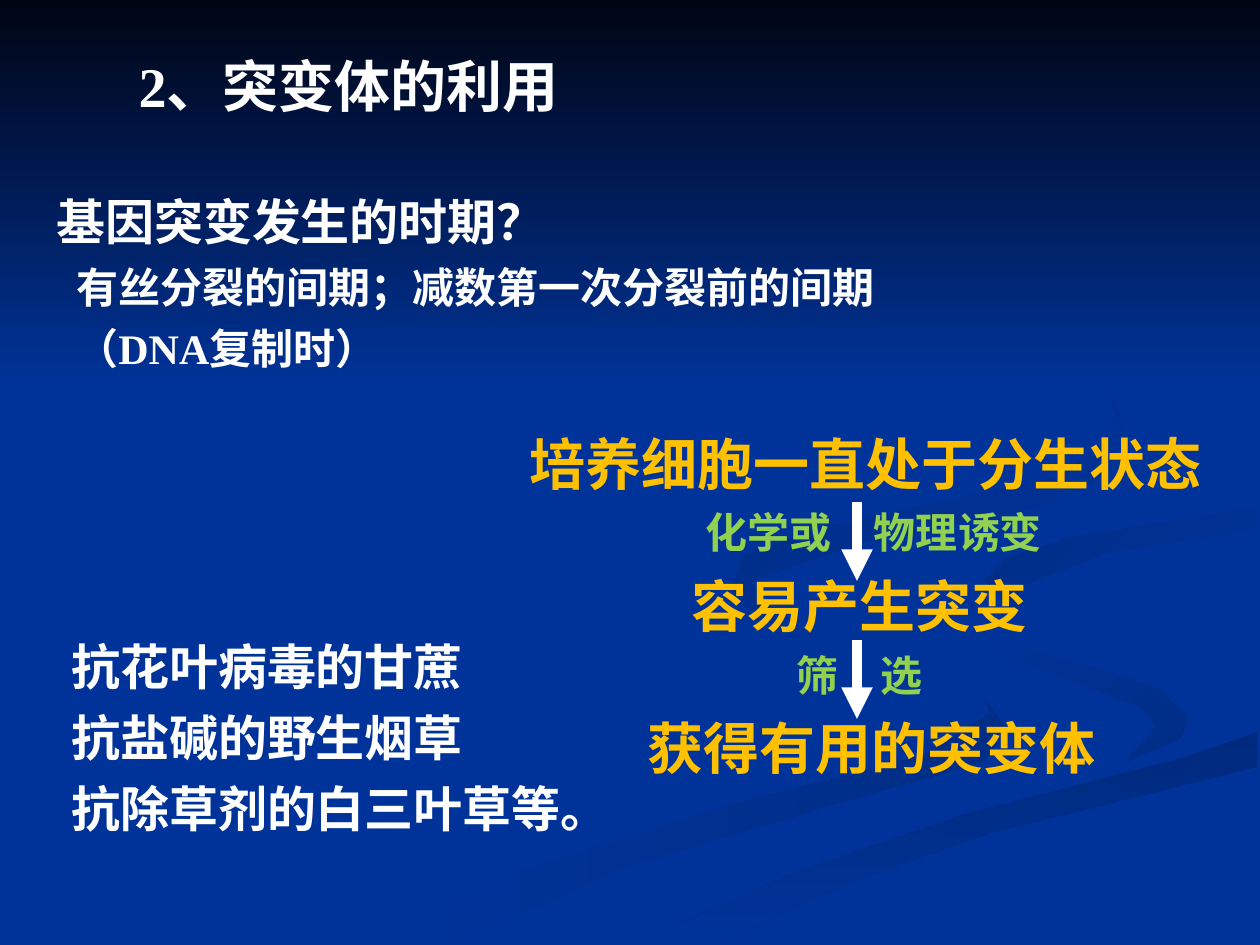
import lxml.etree
import pptx
import pptx.dml.color
import pptx.enum.shapes
import pptx.enum.text
import pptx.oxml.ns
import pptx.util

EMU_PER_PX = 914400 / 126
WIDTH, HEIGHT = 1260, 945
FONT = "Times New Roman"

WHITE = pptx.dml.color.RGBColor(0xFF, 0xFF, 0xFF)
AMBER = pptx.dml.color.RGBColor(0xFF, 0xC0, 0x00)
GREEN = pptx.dml.color.RGBColor(0x92, 0xD0, 0x50)
BLUE = pptx.dml.color.RGBColor(0x00, 0x33, 0x99)
NIGHT = pptx.dml.color.RGBColor(0x00, 0x05, 0x14)
SHADE = pptx.dml.color.RGBColor(0x00, 0x2D, 0x86)
DEEP_SHADE = pptx.dml.color.RGBColor(0x00, 0x2A, 0x7D)


def px(length):
    return pptx.util.Emu(round(length * EMU_PER_PX))


def write_lines(frame, lines):
    """Fill a text frame from (text, size, colour, format values) rows."""
    frame.word_wrap = True
    frame.auto_size = pptx.enum.text.MSO_AUTO_SIZE.NONE
    frame.vertical_anchor = pptx.enum.text.MSO_ANCHOR.TOP
    for number, (text, size, color, formats) in enumerate(lines):
        paragraph = frame.add_paragraph() if number else frame.paragraphs[0]
        paragraph.alignment = formats.get("align", pptx.enum.text.PP_ALIGN.LEFT)
        if "indent" in formats:
            paragraph._p.get_or_add_pPr().set("marL", str(px(formats["indent"])))
        if number:
            paragraph.space_before = pptx.util.Pt(size // 4)
        run = paragraph.add_run()
        run.text = text
        values = {"name": FONT, "size": pptx.util.Pt(size), "bold": True}
        for key, value in values.items():
            setattr(run.font, key, value)
        run.font.color.rgb = color


presentation = pptx.Presentation()
presentation.slide_width = px(WIDTH)
presentation.slide_height = px(HEIGHT)
slide = presentation.slides.add_slide(presentation.slide_layouts[5])
slide.background.fill.solid()
slide.background.fill.fore_color.rgb = BLUE

# Backdrop: faint ribbons, then the night sky; (start colour, end colour, angle, outline)
backdrop = [
    (BLUE, SHADE, 0, [
        (984, 697), (990, 713), (931, 753), (730, 805), (525, 869), (378, 944),
        (455, 944), (629, 866), (852, 799), (983, 762), (1007, 730)]),
    (BLUE, SHADE, 45, [
        (1188, 718), (1158, 689), (1071, 660), (975, 635), (965, 645), (1056, 675),
        (1143, 708), (1156, 726), (1126, 762), (1181, 738)]),
    (DEEP_SHADE, BLUE, 90, [
        (634, 944), (719, 944), (844, 885), (989, 833), (1257, 767), (1257, 732),
        (1179, 759), (963, 815), (794, 873)]),
    (SHADE, BLUE, 45, [
        (984, 580), (1016, 614), (1019, 587), (1106, 553), (1257, 529), (1257, 507),
        (1070, 538), (1007, 557)]),
    (SHADE, BLUE, 45, [
        (861, 542), (1040, 507), (1104, 476), (1126, 433), (1109, 387), (1119, 430),
        (1061, 476), (818, 529), (742, 556), (731, 597), (784, 630), (751, 581)]),
    (NIGHT, BLUE, 90, [(0, 0), (0, 388), (WIDTH, 388), (WIDTH, 0)]),
]
for start, end, angle, outline in backdrop:
    builder = slide.shapes.build_freeform(*outline[0], scale=EMU_PER_PX)
    builder.add_line_segments(outline[1:], close=True)
    band = builder.convert_to_shape()
    band.shadow.inherit = False
    band.line.fill.background()
    band.fill.gradient()
    band.fill.gradient_angle = -angle % 360
    for stop, color in zip(band.fill.gradient_stops, (start, end)):
        stop.color.rgb = color

# Title, brought in front of the backdrop
heading = slide.shapes.title
slide.shapes._spTree.append(heading._element)
for side, length in {"left": 126, "top": 45, "width": 484, "height": 83}.items():
    setattr(heading, side, px(length))
write_lines(heading.text_frame, [("2、突变体的利用", 32, WHITE, {})])

centered = {"align": pptx.enum.text.PP_ALIGN.CENTER}
texts = [
    ((44, 185, 1134, 83), [("基因突变发生的时期？", 28, WHITE, {})]),
    ((64, 255, 1134, 130), [
        ("有丝分裂的间期；减数第一次分裂前的间期", 24, WHITE, {}),
        ("（DNA复制时）", 24, WHITE, {}),
    ]),
    ((483, 423, 754, 372), [
        ("培养细胞一直处于分生状态", 32, AMBER, {**centered, "indent": 12}),
        ("化学或　物理诱变", 24, GREEN, {**centered, "indent": 28}),
        ("容易产生突变", 32, AMBER, centered),
        ("筛　选", 24, GREEN, centered),
        ("获得有用的突变体", 32, AMBER, {**centered, "indent": 24}),
    ]),
    ((59, 630, 605, 218), [
        (crop, 28, WHITE, {})
        for crop in ("抗花叶病毒的甘蔗", "抗盐碱的野生烟草", "抗除草剂的白三叶草等。")
    ]),
]
for box, lines in texts:
    write_lines(slide.shapes.add_textbox(*map(px, box)).text_frame, lines)

# Arrows between the stages
for top in (502, 640):
    arrow = slide.shapes.add_connector(
        pptx.enum.shapes.MSO_CONNECTOR.STRAIGHT, px(857), px(top), px(857), px(top + 79))
    arrow.line.color.rgb = WHITE
    arrow.line.width = pptx.util.Pt(6)
    tail = lxml.etree.SubElement(arrow.line._get_or_add_ln(), pptx.oxml.ns.qn("a:tailEnd"))
    tail.set("type", "triangle")
    lxml.etree.SubElement(arrow._element.spPr, pptx.oxml.ns.qn("a:effectLst"))

presentation.save("out.pptx")
